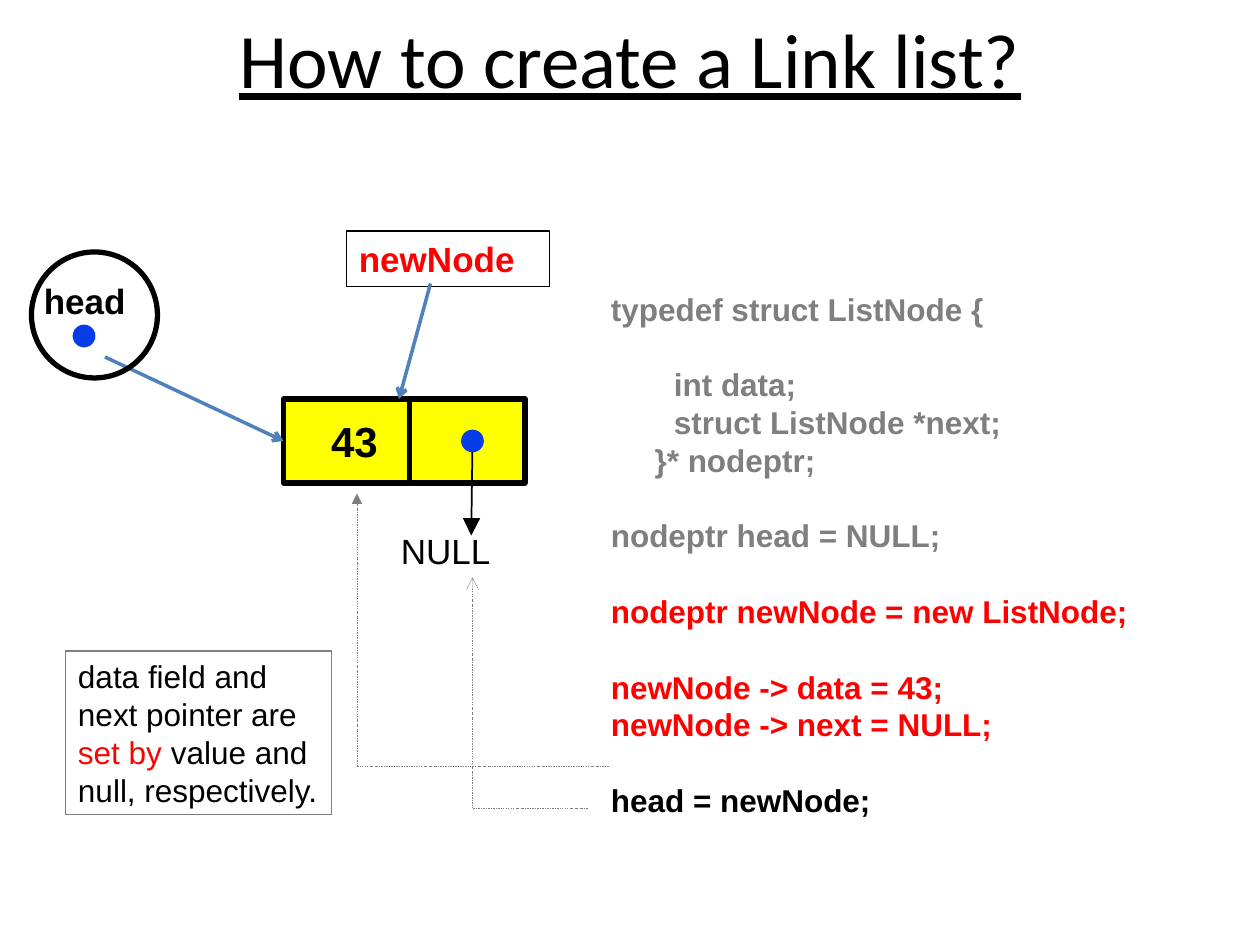
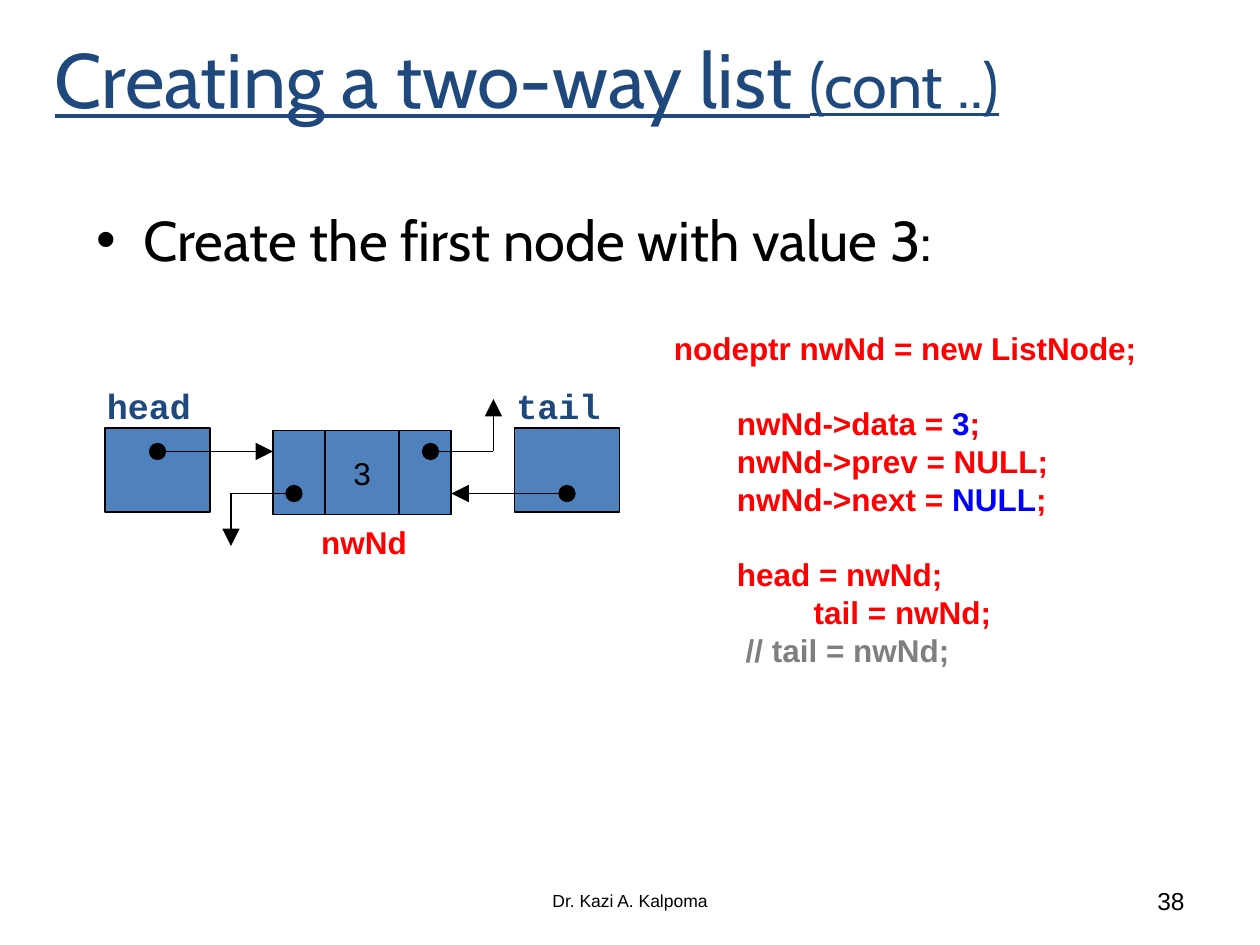
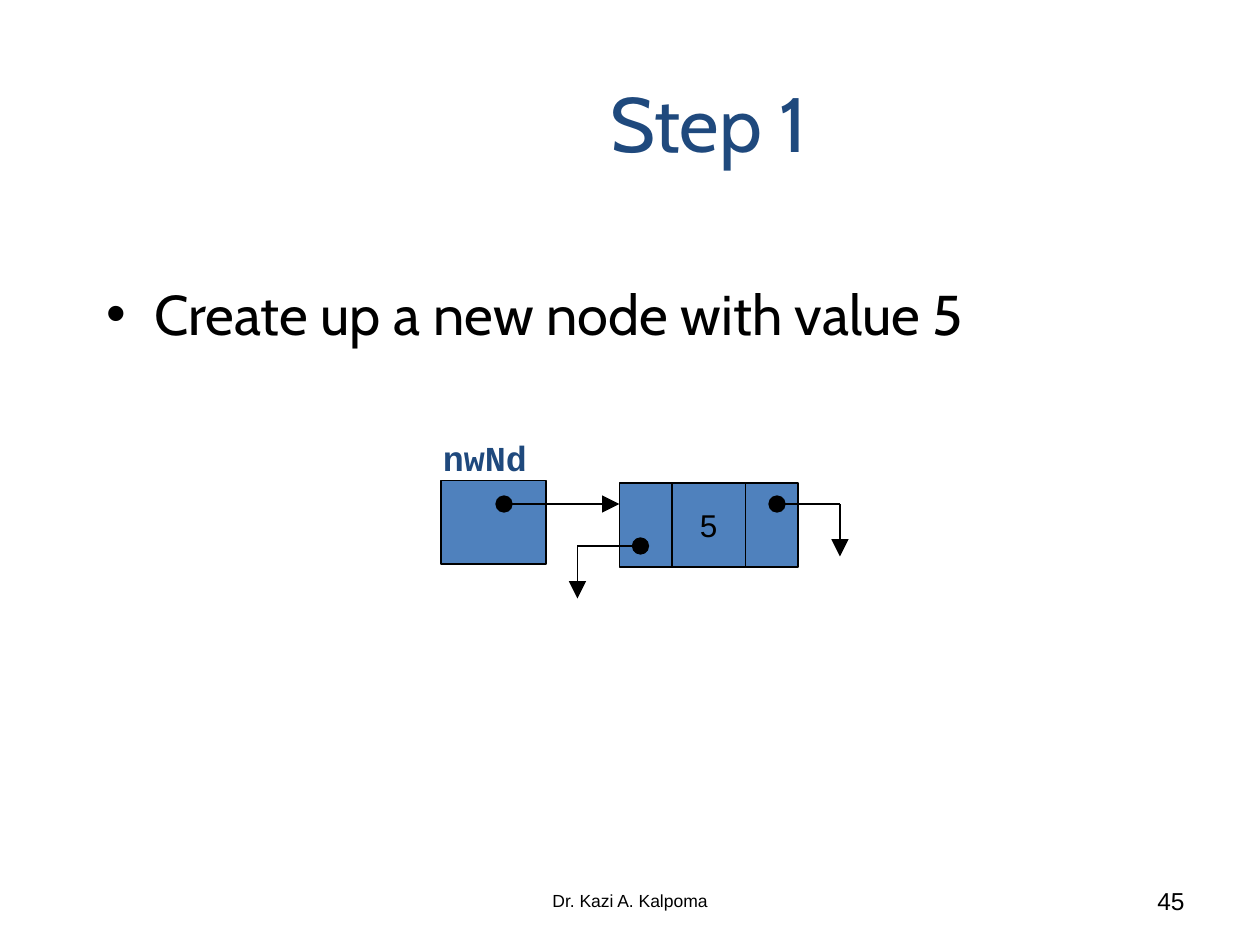
"""Build three slides on creating linked lists."""
from lxml import etree
from pptx import Presentation
from pptx.dml.color import RGBColor
from pptx.enum.dml import MSO_LINE
from pptx.enum.shapes import MSO_CONNECTOR, MSO_SHAPE
from pptx.enum.text import MSO_ANCHOR, MSO_AUTO_SIZE, PP_ALIGN
from pptx.oxml.ns import qn
from pptx.util import Pt

RECT, OVAL = MSO_SHAPE.RECTANGLE, MSO_SHAPE.OVAL
STRAIGHT = MSO_CONNECTOR.STRAIGHT
DASH_DOT = MSO_LINE.DASH_DOT
TOP, MIDDLE = MSO_ANCHOR.TOP, MSO_ANCHOR.MIDDLE
LEFT, CENTER, RIGHT = PP_ALIGN.LEFT, PP_ALIGN.CENTER, PP_ALIGN.RIGHT
NO_AUTOFIT = MSO_AUTO_SIZE.NONE

BLACK = RGBColor(0x00, 0x00, 0x00)
GRAY = RGBColor(0x7F, 0x7F, 0x7F)
RED = RGBColor(0xFF, 0x00, 0x00)
YELLOW = RGBColor(0xFF, 0xFF, 0x00)
DOT_BLUE = RGBColor(0x06, 0x3D, 0xE8)
VALUE_BLUE = RGBColor(0x00, 0x00, 0xFF)
NODE_BLUE = RGBColor(0x4F, 0x81, 0xBD)
NAVY = RGBColor(0x1F, 0x49, 0x7D)

PLAIN = {"name": "Arial", "size": Pt(18), "bold": False, "color": BLACK}
LARGE = {**PLAIN, "size": Pt(20)}
CODE = {**PLAIN, "bold": True}
RED_CODE = {**CODE, "color": RED}
GRAY_CODE = {**CODE, "color": GRAY}
BLUE_CODE = {**CODE, "color": VALUE_BLUE}
LABEL = {"name": "Courier New", "size": Pt(20), "bold": True, "color": NAVY}
BULLET = {"name": "Cabin", "size": Pt(32), "color": BLACK}
FIRST_TITLE = {"name": "Calibri", "size": Pt(44), "underline": True, "color": BLACK}
TITLE = {"name": "Cabin", "size": Pt(44), "color": NAVY}
LINE_PITCH = Pt(21.6)
TITLE_ONLY = 5


def format_font(font, style):
    """Apply a dict of format values to a font."""
    for key, value in style.items():
        if key == "color":
            font.color.rgb = value
        else:
            setattr(font, key, value)


def write_spans(para, spans):
    """Add (text, style) spans to a paragraph."""
    for text, style in spans:
        span = para.add_run()
        span.text = text
        format_font(span.font, style)


def write_lines(frame, lines, align=LEFT, anchor=TOP, **para_format):
    """Write one paragraph per list of spans into a wrapped frame."""
    frame.word_wrap = True
    frame.auto_size = NO_AUTOFIT
    frame.vertical_anchor = anchor
    for index, spans in enumerate(lines):
        para = frame.add_paragraph() if index else frame.paragraphs[0]
        para.alignment = align
        for key, value in para_format.items():
            setattr(para, key, value)
        write_spans(para, spans)


def add_text(page, box, lines, **layout):
    """Add a text box and return its frame."""
    frame = page.shapes.add_textbox(*map(Pt, box)).text_frame
    write_lines(frame, lines, **layout)
    return frame


def add_code(page, box, blocks):
    """Add blocks of code lines, with one line of space between blocks."""
    lines = [line for block in blocks for line in block]
    frame = add_text(page, box, lines, line_spacing=LINE_PITCH)
    start = 0
    for block in blocks[:-1]:
        start += len(block)
        frame.paragraphs[start].space_before = LINE_PITCH


def add_title(page, box, spans, align=CENTER):
    """Place and fill the title placeholder."""
    title = page.shapes.title
    title.left, title.top, title.width, title.height = map(Pt, box)
    write_lines(title.text_frame, [spans], align, MIDDLE)


def add_bullet(page, left, top, text):
    """Add a large bulleted statement."""
    frame = add_text(page, (left, top, 612, 60), [[(text, BULLET)]])
    props = frame.paragraphs[0]._p.get_or_add_pPr()
    props.set("marL", str(Pt(27)))
    props.set("indent", str(-Pt(27)))
    etree.SubElement(props, qn("a:buFont"), typeface="Arial")
    etree.SubElement(props, qn("a:buChar"), char="•")


def add_footer(page, number):
    """Add the author and the slide number."""
    author = [("Dr. Kazi A. Kalpoma", {**PLAIN, "size": Pt(10)})]
    add_text(page, (246, 500.4, 228, 28.8), [author], align=CENTER, anchor=MIDDLE)
    count = [(number, {**PLAIN, "size": Pt(14)})]
    add_text(page, (516, 500.4, 168, 28.8), [count], align=RIGHT, anchor=MIDDLE)


def add_figure(page, kind, box, fill=None, line=BLACK, width=1.0):
    """Add a preset shape with flat fill and outline."""
    figure = page.shapes.add_shape(kind, *map(Pt, box))
    figure.shadow.inherit = False
    if fill is None:
        figure.fill.background()
    else:
        figure.fill.solid()
        figure.fill.fore_color.rgb = fill
    figure.line.color.rgb = line
    figure.line.width = Pt(width)
    return figure


def add_line(page, start, end, color=BLACK, width=1.0, head=None, tail=None,
             size="lg", dash=None):
    """Add a straight line with optional ends and dashes."""
    line = page.shapes.add_connector(STRAIGHT, *map(Pt, (*start, *end)))
    line.line.color.rgb = color
    line.line.width = Pt(width)
    if dash:
        line.line.dash_style = dash
    outline = line.line._get_or_add_ln()
    for tag, kind in (("a:headEnd", head), ("a:tailEnd", tail)):
        if kind:
            etree.SubElement(outline, qn(tag), type=kind, w=size, len=size)
    etree.SubElement(line._element.spPr, qn("a:effectLst"))


def add_dotted_path(page, start, corner, end, tail):
    """Link a code line to the field it sets."""
    style = {"color": GRAY, "width": 0.25, "dash": DASH_DOT}
    add_line(page, start, corner, **style)
    add_line(page, corner, end, tail=tail, size="med", **style)


def add_single_node(page, left, top):
    """Draw the node 43 with its null next pointer."""
    data = add_figure(page, RECT, (left, top, 72, 48), YELLOW, width=3)
    value = [("43", {**CODE, "size": Pt(24)})]
    write_lines(data.text_frame, [value], anchor=MIDDLE)
    data.text_frame.margin_left = Pt(27.2)
    add_figure(page, RECT, (left + 72, top, 66, 48), YELLOW, width=3)
    add_line(page, (left + 108, top + 24), (left + 107.3, top + 78), tail="triangle")
    add_text(page, (left + 60, top + 70.8, 72, 31.7), [[("NULL", LARGE)]])
    add_figure(page, OVAL, (left + 102, top + 18, 12, 12), DOT_BLUE, DOT_BLUE)


def add_head_circle(page, left, top):
    """Draw the circled head pointer."""
    head = [("head", {**LARGE, "bold": True})]
    add_text(page, (left, top + 12.2, 72, 31.7), [head])
    add_figure(page, OVAL, (left + 24, top + 42, 12, 12), DOT_BLUE, DOT_BLUE)
    add_figure(page, OVAL, (left, top, 72, 72), width=3)


def add_pointer_box(page, left, top, name):
    """Draw a named pointer variable."""
    add_figure(page, RECT, (left, top, 60, 48), NODE_BLUE)
    add_text(page, (left - 6, top - 28.5, 84, 31.7), [[(name, LABEL)]])


def add_two_way_node(page, left, top, value, next_drop):
    """Draw a prev, data, next node with null links and an incoming arrow."""
    for offset, width, text in ((0, 30, ""), (30, 42, value), (72, 30, "")):
        cell = add_figure(page, RECT, (left + offset, top, width, 48), NODE_BLUE)
        if text:
            write_lines(cell.text_frame, [[(text, PLAIN)]], CENTER, MIDDLE)
    upper, lower = top + 12, top + 36
    add_line(page, (left - 66, upper), (left, upper), head="oval", tail="triangle")
    for start, end, level, drop in ((12, -24, lower, 30), (90, 126, upper, next_drop)):
        corner = (left + end, level)
        add_line(page, (left + start, level), corner, head="oval")
        add_line(page, corner, (left + end, level + drop), tail="triangle")


def build_link_list(page):
    """Build the slide on creating a link list."""
    add_title(page, (36, -12, 648, 90), [("How to create a Link list?", FIRST_TITLE)])
    add_single_node(page, 162, 228)
    name_box = add_figure(page, RECT, (198, 132, 116, 31.7), width=0.75)
    name = [("newNode", {**LARGE, "bold": True, "color": RED})]
    write_lines(name_box.text_frame, [name])
    for start, end in (((246, 162), (228, 228)), ((60, 204), (162, 252))):
        add_line(page, start, end, NODE_BLUE, 2, tail="arrow", size="med")
    add_code(page, (342, 162, 360, 309.6), [
        [[("typedef struct ListNode {", GRAY_CODE)]],
        [[("\tint data;", GRAY_CODE)],
         [("\tstruct ListNode *next;", GRAY_CODE)],
         [("     }* nodeptr;", GRAY_CODE)]],
        [[("nodeptr head = NULL;", GRAY_CODE)]],
        [[("nodeptr newNode = new ListNode;", RED_CODE)]],
        [[("newNode -> data = 43;", RED_CODE)],
         [("newNode -> next = NULL;", RED_CODE)]],
        [[("head = newNode;", CODE)]],
    ])
    add_dotted_path(page, (348, 438), (204, 438), (204, 282), "triangle")
    add_dotted_path(page, (336, 462), (270, 462), (270, 330), "arrow")
    note = add_figure(page, RECT, (37.5, 372, 152, 93.6), line=GRAY, width=0.75)
    write_lines(note.text_frame, [
        [("data field and", PLAIN)],
        [("next pointer are", PLAIN)],
        [("set by ", {**PLAIN, "color": RED}), ("value and", PLAIN)],
        [("null, respectively.", PLAIN)],
    ], line_spacing=LINE_PITCH)
    note.text_frame.margin_right = 0
    add_head_circle(page, 18, 144)


def build_first_node(page):
    """Build the slide on the first node of a two-way list."""
    underlined = {**TITLE, "underline": True}
    add_title(page, (24, 0, 678, 88.5), [
        ("Creating a two-way list ", underlined),
        ("(cont ..)", {**underlined, "size": Pt(36)}),
    ], LEFT)
    add_bullet(page, 48, 114, "Create the first node with value 3:")
    add_pointer_box(page, 60, 244.7, "head")
    add_pointer_box(page, 294, 244.7, "tail")
    add_two_way_node(page, 156, 246, "3", -30)
    add_line(page, (324, 282), (258, 282), head="oval", tail="triangle")
    add_text(page, (176.4, 295.2, 63.4, 28.8), [[("nwNd", RED_CODE)]])
    add_code(page, (378, 184.3, 342, 201.6), [
        [[("nodeptr nwNd = new ListNode;", RED_CODE)]],
        [[("\tnwNd->data = ", RED_CODE), ("3", BLUE_CODE), (";", RED_CODE)],
         [("\tnwNd->prev = NULL;", RED_CODE)],
         [("\tnwNd->next = ", RED_CODE), ("NULL", BLUE_CODE), (";", RED_CODE)]],
        [[("\thead = nwNd;", RED_CODE)],
         [("                tail = nwNd;", RED_CODE)],
         [("\t // tail = nwNd;", GRAY_CODE)]],
    ])
    add_footer(page, "38")


def build_new_node(page):
    """Build the slide on step 1, a new node."""
    add_title(page, (144, 25.5, 522, 88.5), [("Step 1", TITLE)])
    add_bullet(page, 54, 156, "Create up a new node with value 5")
    add_pointer_box(page, 252, 274.5, "nwNd")
    add_two_way_node(page, 354, 276, "5", 30)
    add_footer(page, "45")


def main():
    """Build and save the deck."""
    deck = Presentation()
    deck.slide_width, deck.slide_height = Pt(720), Pt(540)
    for build in (build_link_list, build_first_node, build_new_node):
        build(deck.slides.add_slide(deck.slide_layouts[TITLE_ONLY]))
    deck.save("out.pptx")


if __name__ == "__main__":
    main()
